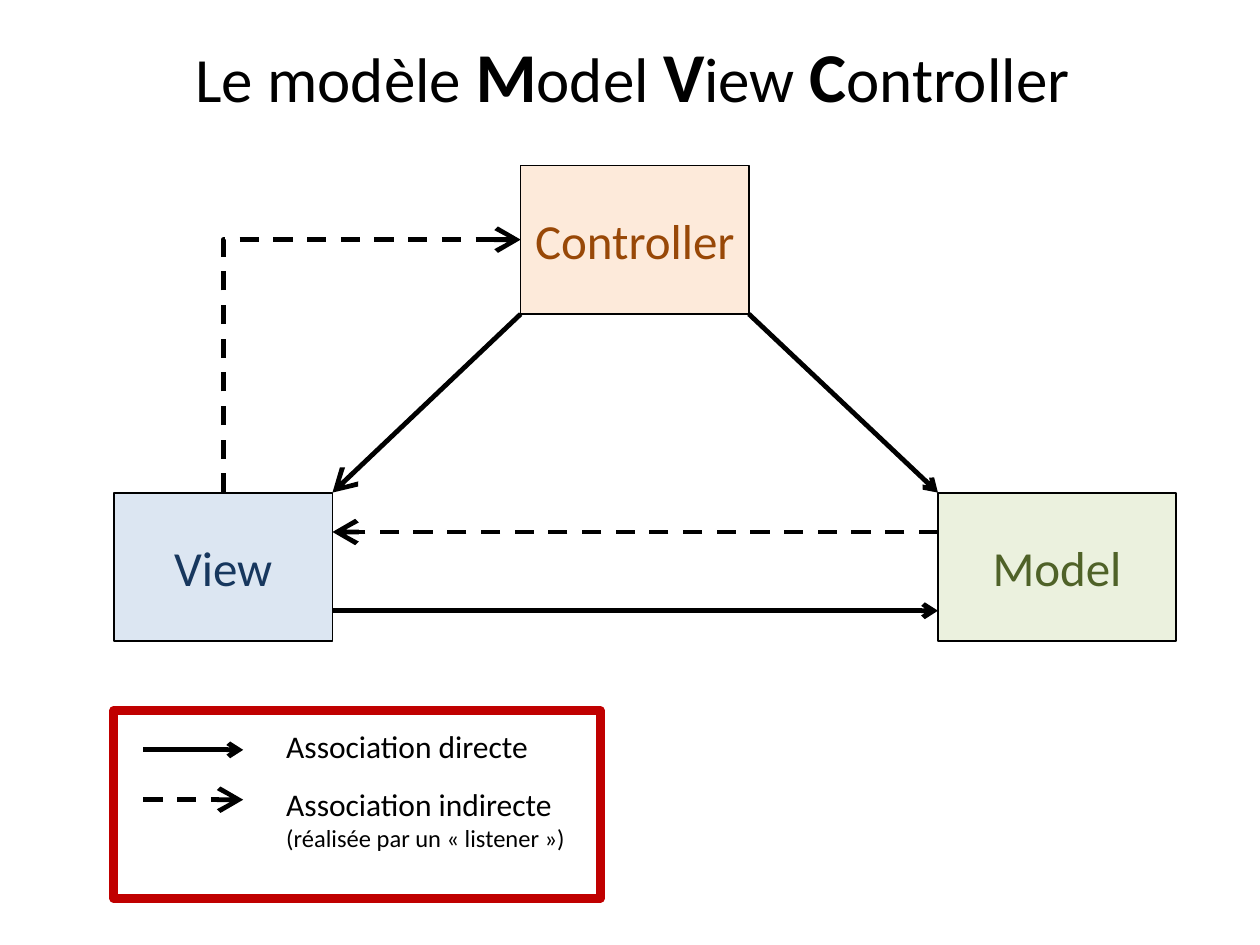
"""Build a slide that explains the Model View Controller pattern."""
from lxml import etree
from pptx import Presentation
from pptx.dml.color import RGBColor
from pptx.enum import dml, shapes, text
from pptx.oxml import ns
from pptx.util import Pt

FONT = "Calibri"
BLACK = RGBColor(0x00, 0x00, 0x00)
RED = RGBColor(0xC0, 0x00, 0x00)
BLUE, PALE_BLUE = RGBColor(0x17, 0x37, 0x5E), RGBColor(0xDC, 0xE6, 0xF2)
BROWN, PALE_ORANGE = RGBColor(0x98, 0x48, 0x07), RGBColor(0xFD, 0xEA, 0xDA)
GREEN, PALE_GREEN = RGBColor(0x4F, 0x62, 0x28), RGBColor(0xEB, 0xF1, 0xDE)
BOX_HEIGHT = 85
LOWER_TOP = 281.5


def write(sp, runs, color=BLACK, align=text.PP_ALIGN.LEFT,
          anchor=text.MSO_ANCHOR.TOP, wrap=False):
    """Fill a shape with one paragraph of (text, size, bold) runs."""
    tf = sp.text_frame
    tf.word_wrap = wrap
    tf.auto_size = text.MSO_AUTO_SIZE.NONE
    tf.vertical_anchor = anchor
    p = tf.paragraphs[0]
    p.alignment = align
    for content, size, bold in runs:
        r = p.add_run()
        r.text = content.rstrip("\n")
        r.font.name, r.font.size, r.font.bold = FONT, Pt(size), bold
        r.font.color.rgb = color
        if content.endswith("\n"):
            p.add_line_break()


def add_title(s):
    """Write the title with its three initials emphasised."""
    sp = s.shapes.title
    sp.left, sp.top, sp.width, sp.height = Pt(104.5), Pt(15), Pt(515), Pt(55.5)
    runs = [("Le modèle ", 36, False)]
    for word in ("Model ", "View ", "Controller"):
        runs += [(word[0], 40, True), (word[1:], 36, False)]
    write(sp, runs)


def add_rect(s, left, top, width, height, fill=None, line=BLACK, weight=1):
    """Add an outlined rectangle, filled if a colour is given."""
    sp = s.shapes.add_shape(shapes.MSO_SHAPE.RECTANGLE, Pt(left), Pt(top), Pt(width), Pt(height))
    sp.shadow.inherit = False
    if fill is None:
        sp.fill.background()
    else:
        sp.fill.solid()
        sp.fill.fore_color.rgb = fill
    sp.line.color.rgb = line
    sp.line.width = Pt(weight)
    return sp


def add_component(s, name, left, top, width, fill, color):
    """Add a named component box."""
    sp = add_rect(s, left, top, width, BOX_HEIGHT, fill)
    write(sp, [(name, 28, False)], color, text.PP_ALIGN.CENTER, text.MSO_ANCHOR.MIDDLE, True)
    return sp


def add_label(s, left, top, width, height, runs):
    """Add a legend label."""
    write(s.shapes.add_textbox(Pt(left), Pt(top), Pt(width), Pt(height)), runs)


def add_arrow(s, start, end, dashed=False, head="med", kind=shapes.MSO_CONNECTOR.STRAIGHT):
    """Add a connector with an open arrowhead at its end."""
    cxn = s.shapes.add_connector(kind, *map(Pt, start + end))
    cxn.line.color.rgb = BLACK
    cxn.line.width = Pt(2.75)
    if dashed:
        cxn.line.dash_style = dml.MSO_LINE.DASH
    ln = cxn.line._get_or_add_ln()
    etree.SubElement(ln, ns.qn("a:tailEnd"), type="arrow", w=head, len=head)
    etree.SubElement(cxn._element.spPr, ns.qn("a:effectLst"))
    return cxn


def add_corner_arrow(s, source, target):
    """Join the top of one box to the left of another with one bend."""
    x1, y1 = source.left + source.width // 2, source.top
    x2, y2 = target.left, target.top + target.height // 2
    cxn = add_arrow(s, (0, 0), (1, 1), True, "lg", shapes.MSO_CONNECTOR.ELBOW)
    cxn.begin_connect(source, 0)
    cxn.end_connect(target, 1)
    cxn.width, cxn.height = y1 - y2, x2 - x1
    cxn.left = (x1 + x2 - cxn.width) // 2
    cxn.top = (y1 + y2 - cxn.height) // 2
    spPr = cxn._element.spPr
    spPr.find(ns.qn("a:prstGeom")).set("prst", "bentConnector2")
    xfrm = spPr.find(ns.qn("a:xfrm"))
    for key, value in (("rot", "5400000"), ("flipH", "1"), ("flipV", "1")):
        xfrm.set(key, value)


def add_legend(s):
    """Add the framed key to the two kinds of association."""
    add_arrow(s, (82, 428.5), (139, 428.5))
    add_arrow(s, (82, 457), (139, 457), True, "lg")
    add_label(s, 156.5, 412, 153, 29, [("Association directe", 18, False)])
    add_label(s, 156.5, 445, 174, 46, [("Association indirecte\n", 18, False),
                                       ("(réalisée par un « listener »)", 14, False)])
    add_rect(s, 65, 406, 278, 107.5, line=RED, weight=5)


def main():
    """Build and save the slide."""
    prs = Presentation()
    prs.slide_width, prs.slide_height = Pt(720), Pt(540)
    s = prs.slides.add_slide(prs.slide_layouts[5])
    add_title(s)
    view = add_component(s, "View", 65, LOWER_TOP, 125, PALE_BLUE, BLUE)
    controller = add_component(s, "Controller", 297.5, 94.5, 130.5, PALE_ORANGE, BROWN)
    add_component(s, "Model", 536, LOWER_TOP, 136, PALE_GREEN, GREEN)
    add_corner_arrow(s, view, controller)
    add_arrow(s, (536, 304), (190, 304), True, "lg")
    add_arrow(s, (297.5, 179.5), (190, LOWER_TOP), head="lg")
    add_arrow(s, (428, 179.5), (536, LOWER_TOP))
    add_arrow(s, (190, 349), (536, 349))
    add_legend(s)
    prs.save("out.pptx")


if __name__ == "__main__":
    main()
